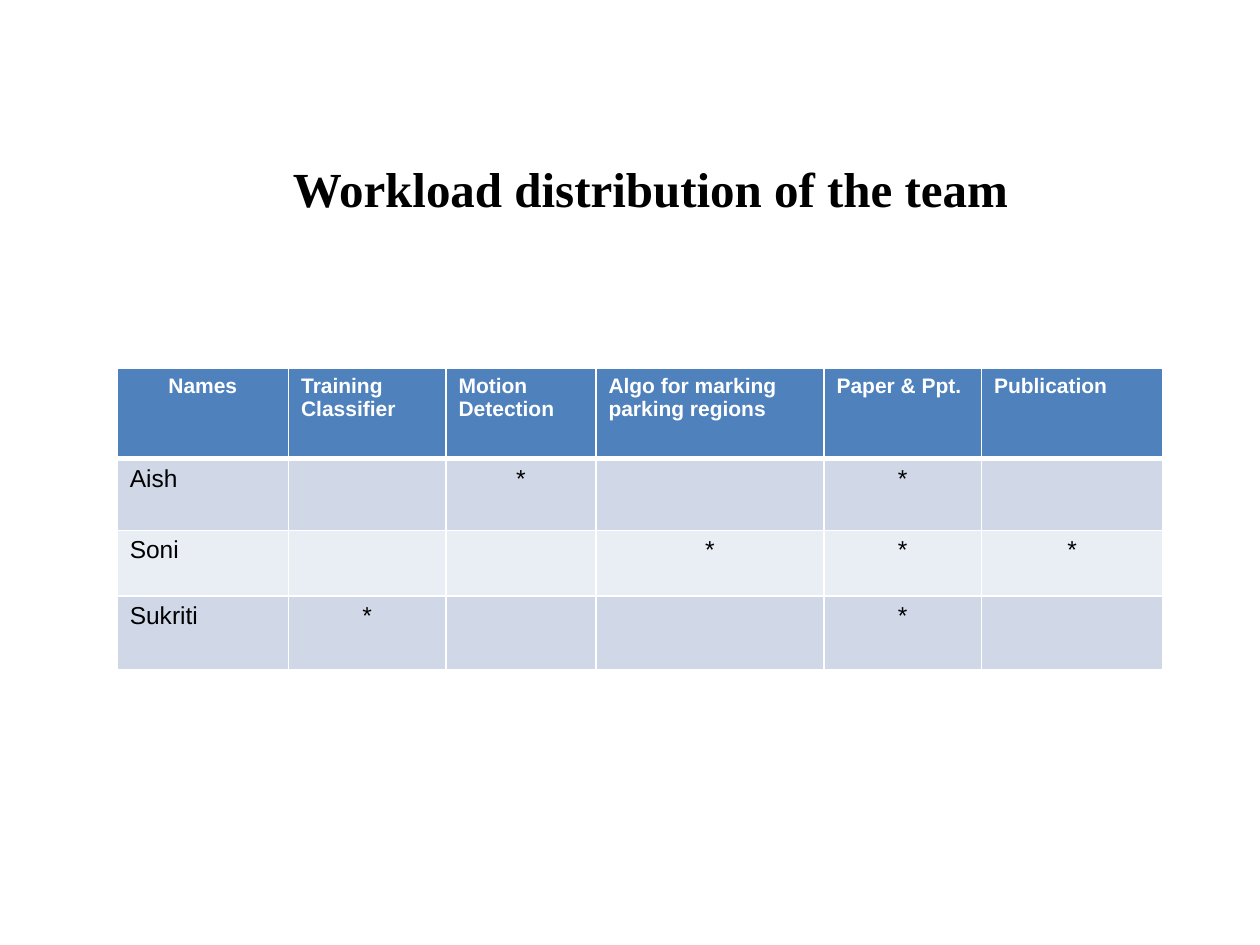
from dataclasses import dataclass

from lxml import etree
from pptx import Presentation
from pptx import util as u
from pptx.dml.color import RGBColor
from pptx.enum import text
from pptx.oxml.ns import qn


@dataclass(frozen=True)
class Theme:
    """Colours, fonts and type sizes of the slide."""
    ink: str = "000000"
    paper: str = "FFFFFF"
    header: str = "4F81BD"
    bands: tuple = ("D0D8E8", "E9EDF4")
    title_font: str = "Times New Roman"
    body_font: str = "Arial"
    title_size: int = 28
    header_size: int = 12
    body_size: int = 14
    rule: int = 1
    header_rule: int = 3


THEME = Theme()
LEFT, CENTER = text.PP_ALIGN.LEFT, text.PP_ALIGN.CENTER
COLUMNS = [1.36, 1.25, 1.19, 1.81, 1.25, 1.44]
ROWS = [0.72, 0.57, 0.52, 0.59]
TASKS = ["Training Classifier", "Motion Detection",
         "Algo for marking parking regions", "Paper & Ppt.", "Publication"]
MEMBERS = {
    "Aish": {"Motion Detection", "Paper & Ppt."},
    "Soni": {"Algo for marking parking regions", "Paper & Ppt.", "Publication"},
    "Sukriti": {"Training Classifier", "Paper & Ppt."},
}


def write(tf, words, size, font=THEME.body_font, color=THEME.ink,
          bold=False, align=LEFT):
    """Put one formatted paragraph into a text frame."""
    p = tf.paragraphs[0]
    p.alignment = align
    p.font.size = u.Pt(size)
    if words:
        r = p.add_run()
        r.text = words
        r.font.name, r.font.size, r.font.bold = font, u.Pt(size), bold
        r.font.color.rgb = RGBColor.from_string(color)


def style_cell(cell, fill, top, bottom):
    """Fill a cell and rule its four sides in white."""
    tcPr = cell._tc.get_or_add_tcPr()
    for side, width in (("L", THEME.rule), ("R", THEME.rule),
                        ("T", top), ("B", bottom)):
        ln = etree.SubElement(tcPr, qn(f"a:ln{side}"), w=str(u.Pt(width)))
        solid = etree.SubElement(ln, qn("a:solidFill"))
        etree.SubElement(solid, qn("a:srgbClr"), val=THEME.paper)
    cell.fill.solid()
    cell.fill.fore_color.rgb = RGBColor.from_string(fill)


def add_title(s, words, box):
    """Place the centred heading in its box."""
    tf = s.shapes.add_textbox(*map(u.Inches, box)).text_frame
    tf.word_wrap = True
    tf.vertical_anchor = text.MSO_ANCHOR.MIDDLE
    tf.margin_left = tf.margin_right = tf.margin_top = tf.margin_bottom = 0
    write(tf, words, THEME.title_size, THEME.title_font, bold=True, align=CENTER)


def add_workload(s, left, top):
    """Place the table of members against tasks from its top left corner."""
    table = s.shapes.add_table(
        len(ROWS), len(COLUMNS), u.Inches(left), u.Inches(top),
        u.Inches(sum(COLUMNS)), u.Inches(sum(ROWS))).table
    for column, width in zip(table.columns, COLUMNS):
        column.width = u.Inches(width)
    for row, height in zip(table.rows, ROWS):
        row.height = u.Inches(height)

    for i, words in enumerate(["Names"] + TASKS):
        cell = table.cell(0, i)
        style_cell(cell, THEME.header, THEME.rule, THEME.header_rule)
        write(cell.text_frame, words, THEME.header_size, color=THEME.paper,
              bold=True, align=LEFT if i else CENTER)

    for j, (name, duties) in enumerate(MEMBERS.items(), start=1):
        marks = ["*" if task in duties else "" for task in TASKS]
        for i, words in enumerate([name] + marks):
            cell = table.cell(j, i)
            style_cell(cell, THEME.bands[(j - 1) % 2],
                       THEME.header_rule if j == 1 else THEME.rule, THEME.rule)
            write(cell.text_frame, words, THEME.body_size,
                  align=CENTER if i else LEFT)


def main():
    """Build and save the slide."""
    prs = Presentation()
    prs.slide_width, prs.slide_height = u.Inches(10), u.Inches(7.5)
    s = prs.slides.add_slide(prs.slide_layouts[6])
    add_title(s, "Workload distribution of the team ", (0.71, 0.87, 9, 1.25))
    add_workload(s, 0.93, 2.92)
    prs.save("out.pptx")


main()
